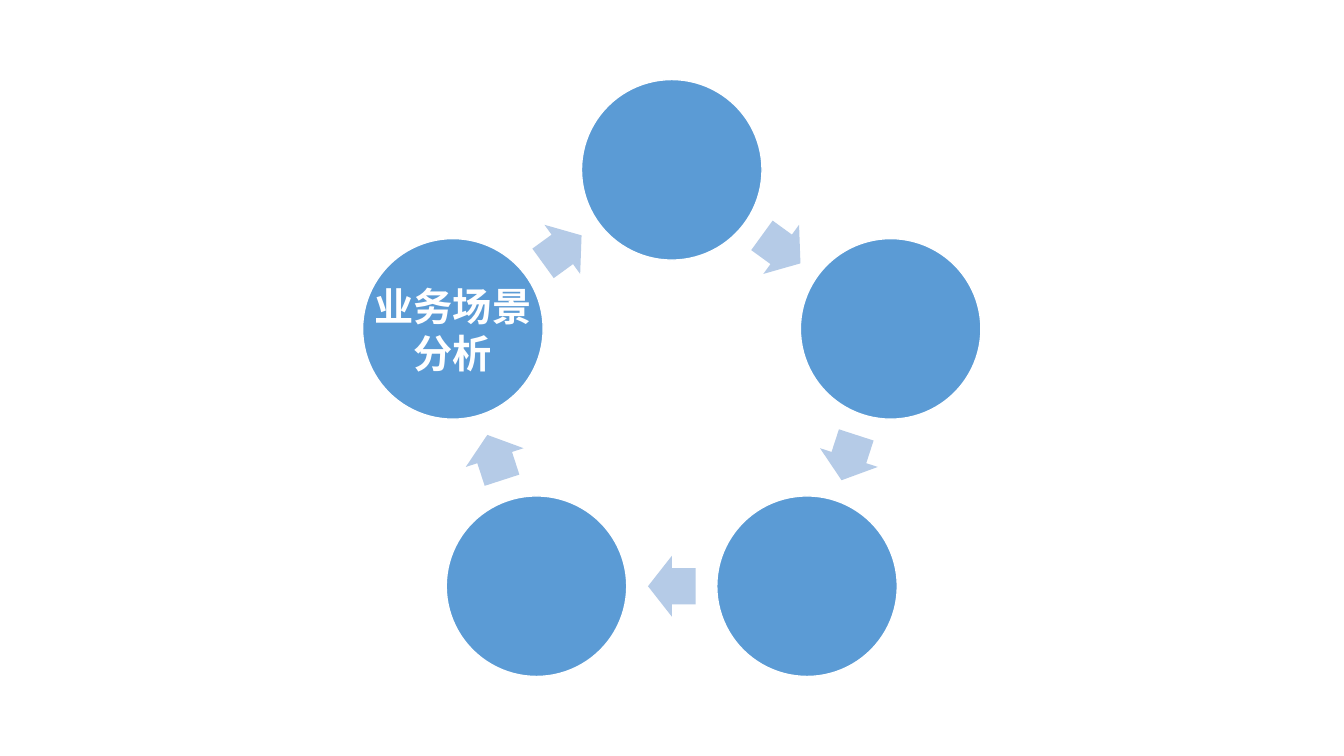
from math import cos, pi, radians, sin

from pptx import Presentation
from pptx.dml.color import RGBColor
from pptx.enum import shapes, text
from pptx.util import Cm, Pt

BLUE = RGBColor(0x5B, 0x9B, 0xD5)
PALE = RGBColor(0xB5, 0xCB, 0xE7)
WHITE = RGBColor(0xFF, 0xFF, 0xFF)

MID_X, MID_Y, RING = 16.93, 10.08, 5.8
DISC = 4.55
ARROW_W, ARROW_H = 1.2, 1.53
STEPS = ["", "", "", "", "业务场景分析"]


def place(angle, dist, wide, high):
    """Return the box centred at a clockwise angle from the top of the ring."""
    x = MID_X + dist * sin(radians(angle))
    y = MID_Y - dist * cos(radians(angle))
    return Cm(x - wide / 2), Cm(y - high / 2), Cm(wide), Cm(high)


def add_disc(slide, angle):
    """Draw one step's circle."""
    disc = slide.shapes.add_shape(
        shapes.MSO_SHAPE.OVAL, *place(angle, RING, DISC, DISC))
    disc.shadow.inherit = False
    disc.fill.solid()
    disc.fill.fore_color.rgb = BLUE
    disc.line.color.rgb = WHITE
    disc.line.width = Pt(1)


def add_label(slide, angle, words):
    """Write a step's name over its circle."""
    box = slide.shapes.add_textbox(*place(angle, RING, DISC, DISC))
    frame = box.text_frame
    frame.word_wrap = True
    frame.vertical_anchor = text.MSO_ANCHOR.MIDDLE
    frame.margin_left = frame.margin_right = Cm(0.1)
    frame.margin_top = frame.margin_bottom = Cm(0.1)
    para = frame.paragraphs[0]
    para.text = words
    para.alignment = text.PP_ALIGN.CENTER
    para.font.name = "Calibri"
    para.font.size = Pt(28)
    para.font.bold = True
    para.font.color.rgb = WHITE


def add_arrow(slide, angle, dist):
    """Draw an arrow that points clockwise along the ring."""
    arrow = slide.shapes.add_shape(
        shapes.MSO_SHAPE.RIGHT_ARROW, *place(angle, dist, ARROW_W, ARROW_H))
    arrow.adjustments[0] = 0.6
    arrow.adjustments[1] = 0.5
    arrow.rotation = angle
    arrow.shadow.inherit = False
    arrow.fill.solid()
    arrow.fill.fore_color.rgb = PALE
    arrow.line.fill.background()


def main():
    """Build the slide with the five-step cycle."""
    deck = Presentation()
    deck.slide_width, deck.slide_height = Cm(33.87), Cm(19.05)
    slide = deck.slides.add_slide(deck.slide_layouts[6])
    turn = 360 / len(STEPS)
    inner = RING * cos(pi / len(STEPS))
    for index, words in enumerate(STEPS):
        angle = index * turn
        add_disc(slide, angle)
        if words:
            add_label(slide, angle, words)
        add_arrow(slide, angle + turn / 2, inner)
    deck.save("out.pptx")


if __name__ == "__main__":
    main()
